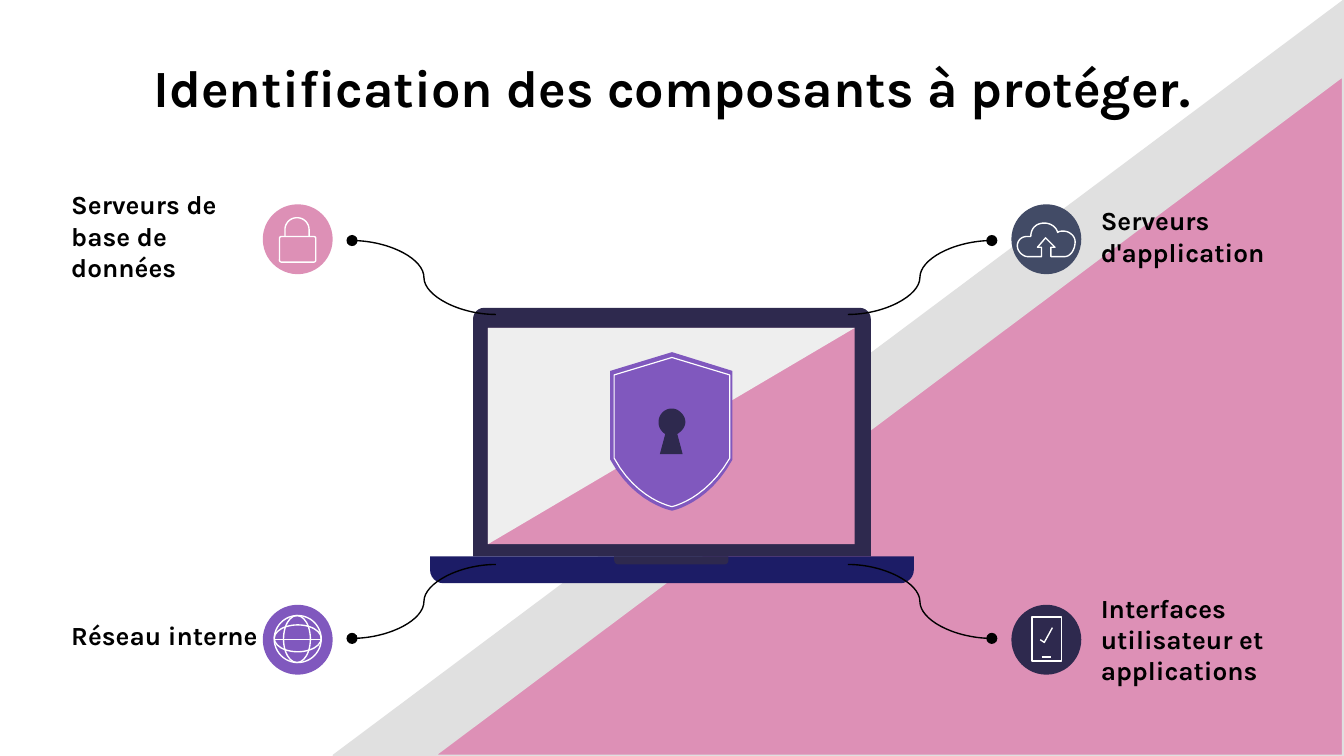
import pptx
import pptx.util
import pptx.dml.color
import pptx.enum.shapes
import pptx.enum.text
import pptx.oxml.ns
from lxml import etree

Inches = pptx.util.Inches
Pt = pptx.util.Pt
qn = pptx.oxml.ns.qn
SHAPE = pptx.enum.shapes.MSO_SHAPE
CONNECTOR = pptx.enum.shapes.MSO_CONNECTOR
ANCHOR = pptx.enum.text.MSO_ANCHOR

FONT = "Karla"
COLORS = {
    "black": "000000", "white": "FFFFFF", "grey": "E0E0E0", "light": "EEEEEE",
    "pink": "DD90B6", "purple": "8058BE", "night": "2E294E", "navy": "1C1C66",
    "slate": "424B66",
}
TITLE = "Identification des composants à protéger."
BADGE_SIZE = 0.52
COMPONENTS = [
    {"label": "Serveurs de base de données", "at": (0.53, 1.23), "side": -1, "row": "top", "color": "pink"},
    {"label": "Serveurs d'application", "at": (8.19, 1.23), "side": 1, "row": "top", "color": "slate"},
    {"label": "Réseau interne", "at": (0.53, 4.2), "side": -1, "row": "bottom", "color": "purple"},
    {"label": "Interfaces utilisateur et applications", "at": (8.19, 4.23), "side": 1, "row": "bottom",
     "color": "night"},
]
ROWS = {
    "top": {"badge": 1.78, "laptop": 2.34, "dot": 1.79},
    "bottom": {"badge": 4.76, "laptop": 4.2, "dot": 4.75},
}
BANDS = [((2.48, 0, 7.52, 5.62), "grey"), ((3.24, 0.57, 6.75, 5.05), "pink")]
SCREEN = (3.63, 2.44, 2.73, 1.61)
LAPTOP = [
    (SHAPE.ROUND_2_SAME_RECTANGLE, (3.52, 2.29, 2.96, 1.85), "night", (0.045, 0)),
    (SHAPE.RECTANGLE, SCREEN, "pink", ()),
    (SHAPE.ROUND_2_SAME_RECTANGLE, (3.2, 4.14, 3.6, 0.2), "navy", (0, 0.5)),
    (SHAPE.ROUND_2_SAME_RECTANGLE, (4.57, 4.14, 0.85, 0.06), "night", (0, 0.5)),
]

SHIELD = [(5, 2.62), (4.54, 2.76), (4.54, 3.42), (4.72, 3.75, 5, 3.8, 5, 3.8),
          (5, 3.8, 5.27, 3.75, 5.45, 3.42), (5.45, 2.76)]
SHIELD_RIM = [(5, 2.66), (4.57, 2.79), (4.57, 3.41), (4.74, 3.72, 5, 3.77, 5, 3.77),
              (5, 3.77, 5.25, 3.72, 5.43, 3.41), (5.43, 2.79)]
KEYHOLE = [(5, 3.04), (4.94, 3.04, 4.9, 3.09, 4.9, 3.14), (4.9, 3.18, 4.92, 3.21, 4.95, 3.23),
           (4.91, 3.38), (5.08, 3.38), (5.04, 3.23), (5.07, 3.21, 5.1, 3.18, 5.1, 3.14),
           (5.1, 3.09, 5.05, 3.04, 5, 3.04)]
CLOUD = [(7.75, 1.91), (7.65, 1.91), (7.61, 1.91, 7.57, 1.87, 7.57, 1.83),
         (7.57, 1.79, 7.6, 1.76, 7.64, 1.76), (7.67, 1.76), (7.67, 1.7, 7.71, 1.66, 7.77, 1.66),
         (7.82, 1.66, 7.86, 1.69, 7.87, 1.73), (7.88, 1.72, 7.9, 1.72, 7.91, 1.72),
         (7.94, 1.72, 7.96, 1.73, 7.98, 1.75), (7.99, 1.76, 8, 1.78, 8, 1.8),
         (8, 1.85, 7.97, 1.91, 7.92, 1.91), (7.82, 1.91), (7.82, 1.84), (7.85, 1.84),
         (7.78, 1.77), (7.72, 1.84), (7.75, 1.84), (7.75, 1.91)]
SHACKLE = [(2.3, 1.76), (2.3, 1.71), (2.3, 1.66, 2.26, 1.62, 2.21, 1.62),
           (2.16, 1.62, 2.12, 1.66, 2.12, 1.71), (2.12, 1.76)]
CHECK_MARK = [(7.74, 4.76), (7.77, 4.78), (7.83, 4.67)]
ICON_OUTLINES = [CLOUD, SHACKLE, CHECK_MARK]
ICON_SHAPES = [
    (SHAPE.ROUNDED_RECTANGLE, (2.08, 1.76, 0.27, 0.19), (0.07,)),
    (SHAPE.RECTANGLE, (7.68, 4.59, 0.22, 0.33), ()),
    (SHAPE.OVAL, (2.04, 4.58, 0.35, 0.35), ()),
    (SHAPE.OVAL, (2.11, 4.58, 0.2, 0.35), ()),
    (SHAPE.OVAL, (2.04, 4.65, 0.35, 0.2), ()),
]
ICON_LINES = [((7.75, 4.89), (7.82, 4.89)), ((2.04, 4.76), (2.39, 4.76))]


def rgb(name):
    return pptx.dml.color.RGBColor.from_string(COLORS[name])


def paint(shape, fill=None, line=None, width=0.75):
    shape.shadow.inherit = False
    if fill:
        shape.fill.solid()
        shape.fill.fore_color.rgb = rgb(fill)
    else:
        shape.fill.background()
    if line:
        shape.line.color.rgb = rgb(line)
        shape.line.width = Pt(width)
    else:
        shape.line.fill.background()


def add_preset(kind, box, fill=None, line=None, adjust=(), flip=None):
    shape = slide.shapes.add_shape(kind, *map(Inches, box))
    for index, value in enumerate(adjust):
        shape.adjustments[index] = value
    if flip:
        shape.element.spPr.find(qn("a:xfrm")).set(flip, "1")
    paint(shape, fill, line)
    return shape


def trace(steps, samples=12):
    points = [steps[0]]
    for step in steps[1:]:
        if len(step) == 2:
            points.append(step)
            continue
        controls = [points[-1], step[:2], step[2:4], step[4:]]
        for i in range(1, samples + 1):
            t = i / samples
            weights = ((1 - t) ** 3, 3 * t * (1 - t) ** 2, 3 * t * t * (1 - t), t ** 3)
            points.append(tuple(sum(w * c[axis] for w, c in zip(weights, controls))
                                for axis in (0, 1)))
    return [(Inches(x), Inches(y)) for x, y in points]


def add_outline(steps, fill=None, line=None, width=0.75, close=True):
    start, *rest = trace(steps)
    builder = slide.shapes.build_freeform(*start)
    builder.add_line_segments(rest, close=close)
    paint(builder.convert_to_shape(), fill, line, width)


def add_line(kind, start, end, color, dot=False):
    connector = slide.shapes.add_connector(kind, *map(Inches, start + end))
    connector.line.color.rgb = rgb(color)
    connector.line.width = Pt(0.75)
    properties = connector.element.spPr
    if dot:
        etree.SubElement(properties.find(qn("a:ln")), qn("a:tailEnd"), type="oval")
    etree.SubElement(properties, qn("a:effectLst"))


def style_text(paragraph, size):
    paragraph.font.name = FONT
    paragraph.font.size = Pt(size)
    paragraph.font.bold = True
    paragraph.font.color.rgb = rgb("black")


def add_label(text, left, top):
    frame = slide.shapes.add_textbox(*map(Inches, (left, top, 1.42, 1.05))).text_frame
    frame.word_wrap = True
    frame.vertical_anchor = ANCHOR.MIDDLE
    frame.margin_left = frame.margin_right = 0
    frame.margin_top = frame.margin_bottom = Inches(0.1)
    frame.text = text
    style_text(frame.paragraphs[0], 14)


presentation = pptx.Presentation()
presentation.slide_width = Inches(10)
presentation.slide_height = presentation.slide_width * 9 // 16
slide = presentation.slides.add_slide(presentation.slide_layouts[5])

for box, color in BANDS:
    band = add_preset(SHAPE.RIGHT_TRIANGLE, box, color, "grey", flip="flipH")

title = slide.shapes.title
band.element.addnext(title.element)
title.left, title.top, title.width, title.height = map(Inches, (0.39, 0.31, 9.22, 0.63))
heading = title.text_frame
heading.text = TITLE
heading.auto_size = pptx.enum.text.MSO_AUTO_SIZE.NONE
heading.vertical_anchor = ANCHOR.TOP
heading.margin_left = heading.margin_right = Inches(0.1)
heading.margin_top = heading.margin_bottom = Inches(0.1)
heading.paragraphs[0].alignment = pptx.enum.text.PP_ALIGN.CENTER
style_text(heading.paragraphs[0], 28)

for kind, box, color, adjust in LAPTOP:
    add_preset(kind, box, color, adjust=adjust)
add_preset(SHAPE.RIGHT_TRIANGLE, SCREEN, "light", flip="flipV")
add_outline(SHIELD, "purple")
add_outline(SHIELD_RIM, line="white", width=0.62)
add_outline(KEYHOLE, "night")

for component in COMPONENTS:
    side, row = component["side"], ROWS[component["row"]]
    badge_left = 5 + side * 2.785 - BADGE_SIZE / 2
    badge_top = row["badge"] - BADGE_SIZE / 2
    add_preset(SHAPE.OVAL, (badge_left, badge_top, BADGE_SIZE, BADGE_SIZE), component["color"])
    add_line(CONNECTOR.CURVE, (5 + side * 1.31, row["laptop"]),
             (5 + side * 2.38, row["dot"]), "black", dot=True)
    add_label(component["label"], *component["at"])

for kind, box, adjust in ICON_SHAPES:
    add_preset(kind, box, line="white", adjust=adjust)
for outline in ICON_OUTLINES:
    add_outline(outline, line="white", close=False)
for start, end in ICON_LINES:
    add_line(CONNECTOR.STRAIGHT, start, end, "white")

presentation.save("out.pptx")
